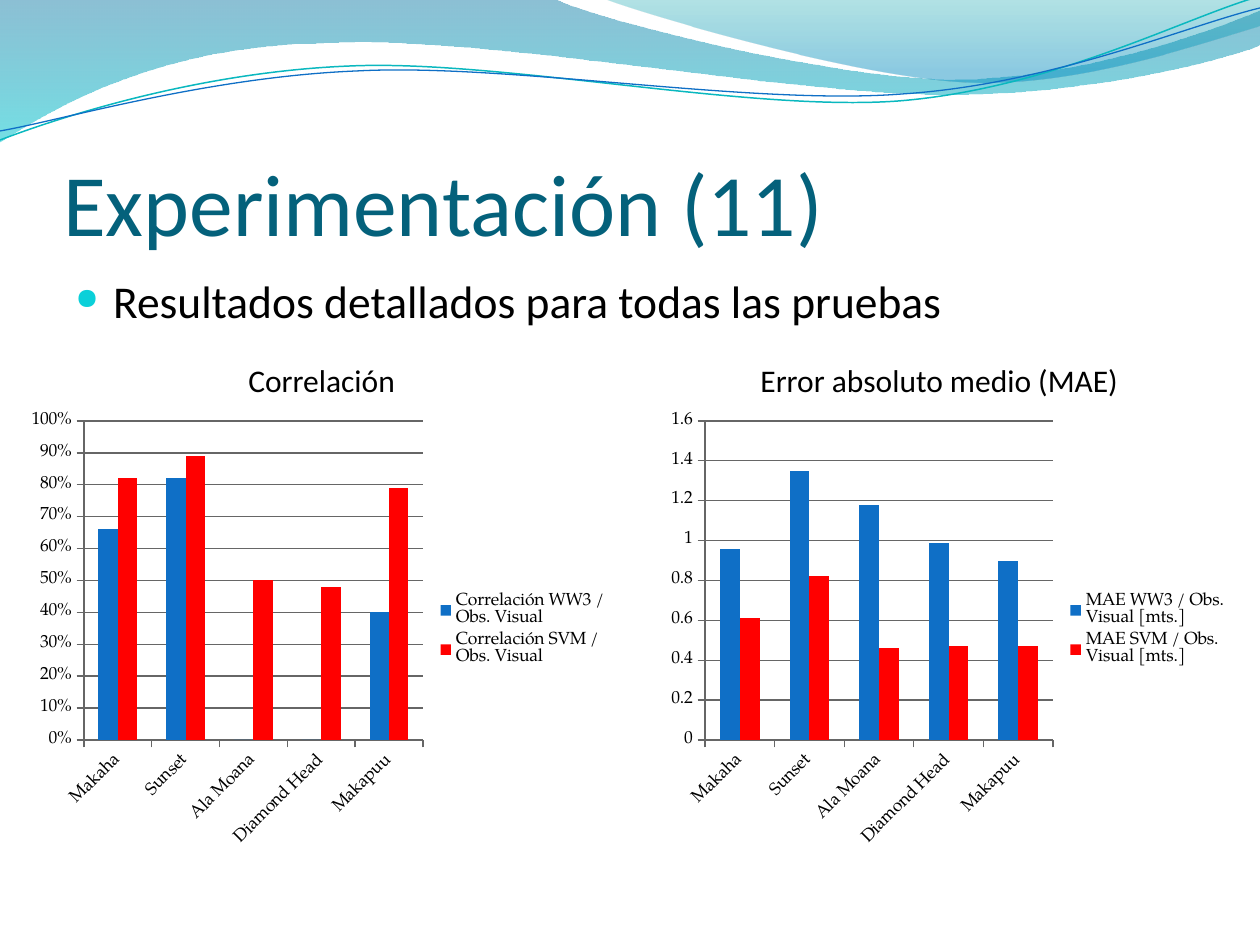
from dataclasses import dataclass

from lxml import etree
from pptx import Presentation
from pptx import util as u
from pptx.chart.data import CategoryChartData
from pptx.dml.color import RGBColor
from pptx.enum import chart as charts, text
from pptx.oxml import ns

PX = u.Inches(1) / 126
BEACHES = ["Makaha", "Sunset", "Ala Moana", "Diamond Head", "Makapuu"]


@dataclass(frozen=True)
class Theme:
    title: str = "04617B"
    ink: str = "000000"
    bullet: str = "0BD0D9"
    axis: str = "666666"
    series: tuple = ("0F6FC6", "FF0000")
    teal_line: str = "0AB8BF"
    blue_line: str = "0F6FC6"
    # gradient stops: position, colour, opacity %
    back_wave: tuple = ((0, "0074A1", 45), (1, "00C6CF", 55))
    front_wave: tuple = ((0, "00A1A9", 30), (0.8, "008BBF", 45))
    font: str = "Calibri"
    chart_font: str = "TeX Gyre Pagella"
    title_size: int = 50
    body_size: int = 26
    caption_size: int = 18
    chart_size: int = 10


def px(*lengths):
    return [u.Emu(round(n * PX)) for n in lengths]


def sub(parent, tag, **attrs):
    return etree.SubElement(parent, ns.qn(tag), attrs)


class Deck:
    def __init__(self, theme):
        self.theme = theme
        self.prs = Presentation()
        self.prs.slide_width, self.prs.slide_height = px(1260, 945)
        self.s = self.prs.slides.add_slide(self.prs.slide_layouts[5])

    def font(self, font, size, color, name=None):
        font.name = name or self.theme.font
        font.size = u.Pt(size)
        font.color.rgb = RGBColor.from_string(color)

    def outline(self, start, *segments, closed):
        """Freeform whose segments have 2 numbers (line) or 6 (cubic curve)."""
        points = [px(*seg[i:i + 2]) for seg in segments
                  for i in range(0, len(seg), 2)]
        builder = self.s.shapes.build_freeform(*px(*start), scale=1.0)
        builder.add_line_segments(points, close=closed)
        sp = builder.convert_to_shape()
        sp.shadow.inherit = False
        steps = iter(sp.element.xpath(".//a:lnTo"))
        for seg in segments:
            step = next(steps)
            if len(seg) == 6:
                step.tag = ns.qn("a:cubicBezTo")
                for _ in range(2):
                    control = next(steps)
                    step.append(control[0])
                    control.getparent().remove(control)
        return sp

    def wave(self, stops, *route):
        sp = self.outline(*route, closed=True)
        sp.line.fill.background()
        sp.fill.gradient()
        sp.fill.gradient_angle = 270
        for stop, (position, color, _) in zip(sp.fill.gradient_stops, stops):
            stop.position = position
            stop.color.rgb = RGBColor.from_string(color)
        colors = sp.element.xpath(".//a:gradFill//a:srgbClr")
        for clr, (_, _, opacity) in zip(colors, stops):
            sub(clr, "a:alpha", val=str(opacity * 1000))

    def swell(self, color, width, *route):
        sp = self.outline(*route, closed=False)
        sp.fill.background()
        sp.line.color.rgb = RGBColor.from_string(color)
        sp.line.width = u.Pt(width)

    def title(self, words, *box):
        sp = self.s.shapes.title
        sp.left, sp.top, sp.width, sp.height = px(*box)
        sp.element.getparent().append(sp.element)  # in front of the waves
        tf = sp.text_frame
        tf.text = words
        tf.vertical_anchor = text.MSO_ANCHOR.BOTTOM
        tf.margin_left = tf.margin_right = tf.margin_bottom = 0
        p = tf.paragraphs[0]
        p.alignment = text.PP_ALIGN.LEFT
        self.font(p.font, self.theme.title_size, self.theme.title)

    def label(self, words, size, *box, wrap=False):
        tf = self.s.shapes.add_textbox(*px(*box)).text_frame
        tf.word_wrap = wrap
        p = tf.paragraphs[0]
        p.text = words
        self.font(p.font, size, self.theme.ink)
        return p

    def bullet(self, words, *box):
        p = self.label(words, self.theme.body_size, *box, wrap=True)
        p.space_before = u.Pt(5)
        props = p.font._element.getparent()
        indent = u.Inches(0.3)
        props.set("marL", str(indent))
        props.set("indent", str(-indent))
        marks = etree.Element("marks")
        sub(sub(marks, "a:buClr"), "a:srgbClr", val=self.theme.bullet)
        sub(marks, "a:buSzPct", val="65000")
        sub(marks, "a:buChar", char="●")
        for mark in list(marks):
            props.insert(len(props) - 1, mark)

    def columns(self, series, box, plot, top, step, fmt):
        """Clustered columns; box and plot are left, top, width, height in px."""
        data = CategoryChartData(number_format=fmt)
        data.categories = BEACHES
        for name, values in series.items():
            data.add_series(name, values)
        chart = self.s.shapes.add_chart(
            charts.XL_CHART_TYPE.COLUMN_CLUSTERED, *px(*box), data).chart
        t = self.theme
        self.font(chart.font, t.chart_size, t.ink, t.chart_font)
        chart.has_title = False
        chart.has_legend = True
        chart.legend.position = charts.XL_LEGEND_POSITION.RIGHT
        chart.legend.include_in_layout = False
        bars = chart.plots[0]
        bars.vary_by_categories = False
        bars.gap_width, bars.overlap = 150, 0
        for ser, color in zip(bars.series, t.series):
            ser.format.fill.solid()
            ser.format.fill.fore_color.rgb = RGBColor.from_string(color)

        values = chart.value_axis
        values.minimum_scale, values.maximum_scale, values.major_unit = 0, top, step
        values.tick_labels.number_format = fmt
        values.tick_labels.number_format_is_linked = False
        values.has_major_gridlines = True
        for axis in (chart.category_axis, values):
            axis.major_tick_mark = charts.XL_TICK_MARK.OUTSIDE
            self.font(axis.tick_labels.font, t.chart_size, t.ink, t.chart_font)
        for part in (chart.category_axis, values, values.major_gridlines):
            part.format.line.color.rgb = RGBColor.from_string(t.axis)
            part.format.line.width = u.Pt(0.75)
        chart.element.xpath(".//c:catAx/c:txPr/a:bodyPr")[0].set("rot", "-2700000")
        self.place_plot(chart, box, plot)

    def place_plot(self, chart, box, plot):
        area = chart.element.xpath(".//c:plotArea")[0]
        for old in area.xpath("./c:layout"):
            area.remove(old)
        layout = sub(area, "c:layout")
        area.insert(0, layout)
        manual = sub(layout, "c:manualLayout")
        sub(manual, "c:layoutTarget", val="inner")
        for side in "xy":
            sub(manual, f"c:{side}Mode", val="edge")
        left, top, width, height = box
        shares = ((plot[0] - left) / width, (plot[1] - top) / height,
                  plot[2] / width, plot[3] / height)
        for side, share in zip("xywh", shares):
            sub(manual, f"c:{side}", val=f"{share:.4f}")


def main():
    theme = Theme()
    deck = Deck(theme)
    deck.wave(theme.back_wave, (0, 0), (554, -1),
              (600, 21, 837, 79, 955, 79), (1075, 79, 1207, 33, 1260, 11),
              (1261, 45), (1239, 55, 1096, 96, 940, 94),
              (784, 94, 481, 35, 324, 43), (163, 45, 58, 105, -1, 142), (0, 0))
    deck.wave(theme.front_wave, (604, -1), (641, 14, 859, 78, 969, 82),
              (1079, 87, 1211, 40, 1260, 26), (1260, 0), (604, -1))
    deck.swell(theme.teal_line, 0.85, (0, 140), (60, 117, 199, 72, 349, 66),
               (498, 59, 747, 112, 898, 101), (1050, 89, 1182, 19, 1257, -3))
    deck.swell(theme.blue_line, 0.75, (0, 131), (59, 121, 207, 77, 357, 71),
               (508, 63, 752, 106, 903, 94), (1053, 84, 1186, 26, 1260, 8))

    deck.title("Experimentación (11)", 63, 97, 1134, 157)
    deck.bullet("Resultados detallados para todas las pruebas", 63, 267, 1134, 68)
    deck.columns({"Correlación WW3 / Obs. Visual": (0.66, 0.82, 0, 0, 0.4),
                  "Correlación SVM / Obs. Visual": (0.82, 0.89, 0.5, 0.48, 0.79)},
                 (20, 404, 600, 452), (84, 421, 339, 319), 1, 0.1, "0%")
    deck.columns({"MAE WW3 / Obs. Visual [mts.]": (0.96, 1.35, 1.18, 0.99, 0.9),
                  "MAE SVM / Obs. Visual [mts.]": (0.61, 0.82, 0.46, 0.47, 0.47)},
                 (659, 404, 581, 452), (705, 421, 348, 319), 1.6, 0.2, "General")
    deck.label("Correlación", theme.caption_size, 236, 355, 174, 50)
    deck.label("Error absoluto medio (MAE)", theme.caption_size, 748, 355, 387, 50)
    deck.prs.save("out.pptx")


if __name__ == "__main__":
    main()
